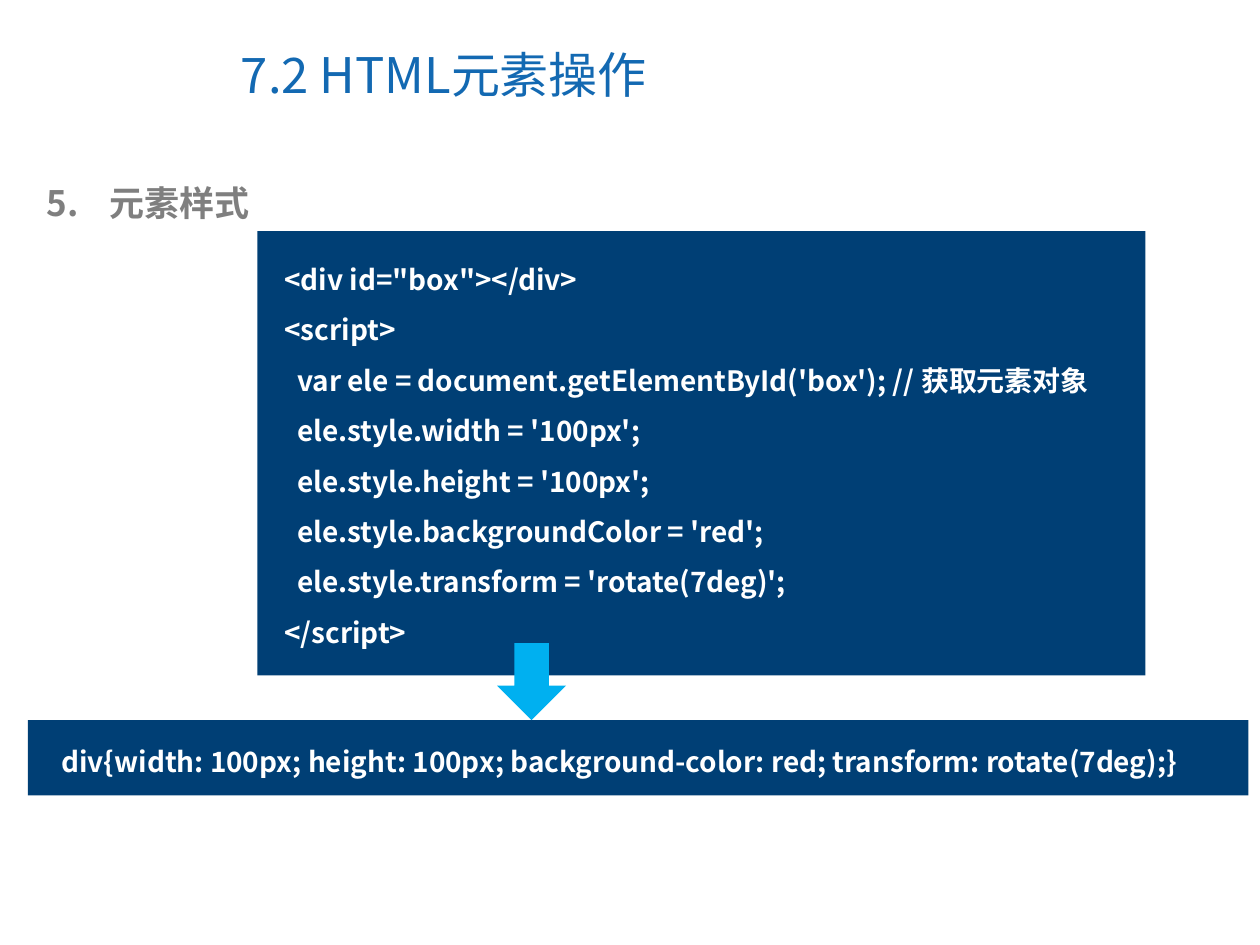
from pptx import Presentation
from pptx.dml.color import RGBColor
from pptx.enum.shapes import MSO_SHAPE
from pptx.enum.text import MSO_ANCHOR, MSO_AUTO_SIZE, PP_ALIGN
from pptx.oxml.ns import qn
from pptx.util import Pt
from lxml import etree

RECTANGLE = MSO_SHAPE.RECTANGLE
DOWN_ARROW = MSO_SHAPE.DOWN_ARROW
LEFT = PP_ALIGN.LEFT
TOP = MSO_ANCHOR.TOP
MIDDLE = MSO_ANCHOR.MIDDLE
NO_AUTOFIT = MSO_AUTO_SIZE.NONE
TITLE_AND_CONTENT = 1

FONT = "Noto Sans CJK SC"
COLORS = {
    "title": "1369B2",
    "heading": "7F7F7F",
    "panel": "003F75",
    "code": "FFFFFF",
    "arrow": "00B0F0",
}
CODE_INDENT = 7.2  # points per indent level

# Each code line: indent level, text
SCRIPT_LINES = [
    (0, '<div id="box"></div>'),
    (0, "<script>"),
    (1, "var ele = document.getElementById('box'); // 获取元素对象"),
    (1, "ele.style.width = '100px';"),
    (1, "ele.style.height = '100px';"),
    (1, "ele.style.backgroundColor = 'red';"),
    (1, "ele.style.transform = 'rotate(7deg)';"),
    (0, "</script>"),
]
CSS_LINES = [
    (0, "div{width: 100px; height: 100px; background-color: red; "
        "transform: rotate(7deg);}"),
]


def place(shape, box):
    shape.left, shape.top, shape.width, shape.height = map(Pt, box)


def format_paragraph(paragraph, size, color, bold):
    paragraph.alignment = LEFT
    paragraph.space_before = Pt(0)
    for run in paragraph.runs:
        run.font.size = Pt(size)
        run.font.bold = bold
        run.font.name = FONT
        run.font.color.rgb = RGBColor.from_string(COLORS[color])
        east_asian = etree.SubElement(run.font._element, qn("a:ea"))
        east_asian.set("typeface", FONT)


def set_indent(paragraph, left, first_line=0):
    properties = paragraph._p.get_or_add_pPr()
    properties.set("marL", str(Pt(left)))
    properties.set("indent", str(Pt(first_line)))
    return properties


def fill_placeholder(placeholder, box, text, anchor):
    place(placeholder, box)
    text_frame = placeholder.text_frame
    text_frame.text = text
    text_frame.auto_size = NO_AUTOFIT
    text_frame.vertical_anchor = anchor
    return text_frame.paragraphs[0]


def add_title(slide, box, text):
    paragraph = fill_placeholder(slide.shapes.title, box, text, MIDDLE)
    format_paragraph(paragraph, 28, "title", False)


def add_numbered_heading(slide, box, text, number):
    paragraph = fill_placeholder(slide.placeholders[1], box, text, TOP)
    format_paragraph(paragraph, 20, "heading", True)
    properties = set_indent(paragraph, 36, -36)
    etree.SubElement(properties, qn("a:buFont")).set("typeface", FONT)
    numbering = etree.SubElement(properties, qn("a:buAutoNum"))
    numbering.set("type", "arabicPeriod")
    numbering.set("startAt", str(number))


def add_plain_shape(slide, kind, box, color):
    shape = slide.shapes.add_shape(kind, *map(Pt, box))
    shape.shadow.inherit = False
    shape.fill.solid()
    shape.fill.fore_color.rgb = RGBColor.from_string(COLORS[color])
    shape.line.fill.background()


def add_code_panel(slide, box, lines, inset_left, inset_top):
    """Dark panel with a text box inset from its left and top edges."""
    add_plain_shape(slide, RECTANGLE, box, "panel")
    left, top, width, height = box
    text_box = slide.shapes.add_textbox(
        Pt(left + inset_left), Pt(top + inset_top),
        Pt(width - inset_left), Pt(height - 2 * inset_top))
    text_frame = text_box.text_frame
    text_frame.word_wrap = True
    for index, (level, text) in enumerate(lines):
        paragraph = (text_frame.add_paragraph() if index
                     else text_frame.paragraphs[0])
        paragraph.text = text
        paragraph.line_spacing = 1.5
        format_paragraph(paragraph, 16, "code", True)
        set_indent(paragraph, level * CODE_INDENT)


def main():
    presentation = Presentation()
    presentation.slide_width = Pt(720)
    presentation.slide_height = Pt(540)
    layout = presentation.slide_layouts[TITLE_AND_CONTENT]
    slide = presentation.slides.add_slide(layout)

    # Title and section heading
    add_title(slide, (130.5, 12, 371.5, 61), "7.2 HTML元素操作")
    add_numbered_heading(slide, (19.5, 100, 664, 32), "元素样式", 5)

    # Script, resulting style rule and the arrow between them
    add_code_panel(slide, (147, 132, 507.5, 254), SCRIPT_LINES, 8.5, 5)
    add_code_panel(slide, (16, 411.5, 697.5, 43), CSS_LINES, 12, 1)
    add_plain_shape(slide, DOWN_ARROW, (284, 367.5, 39.5, 44), "arrow")

    presentation.save("out.pptx")


if __name__ == "__main__":
    main()
